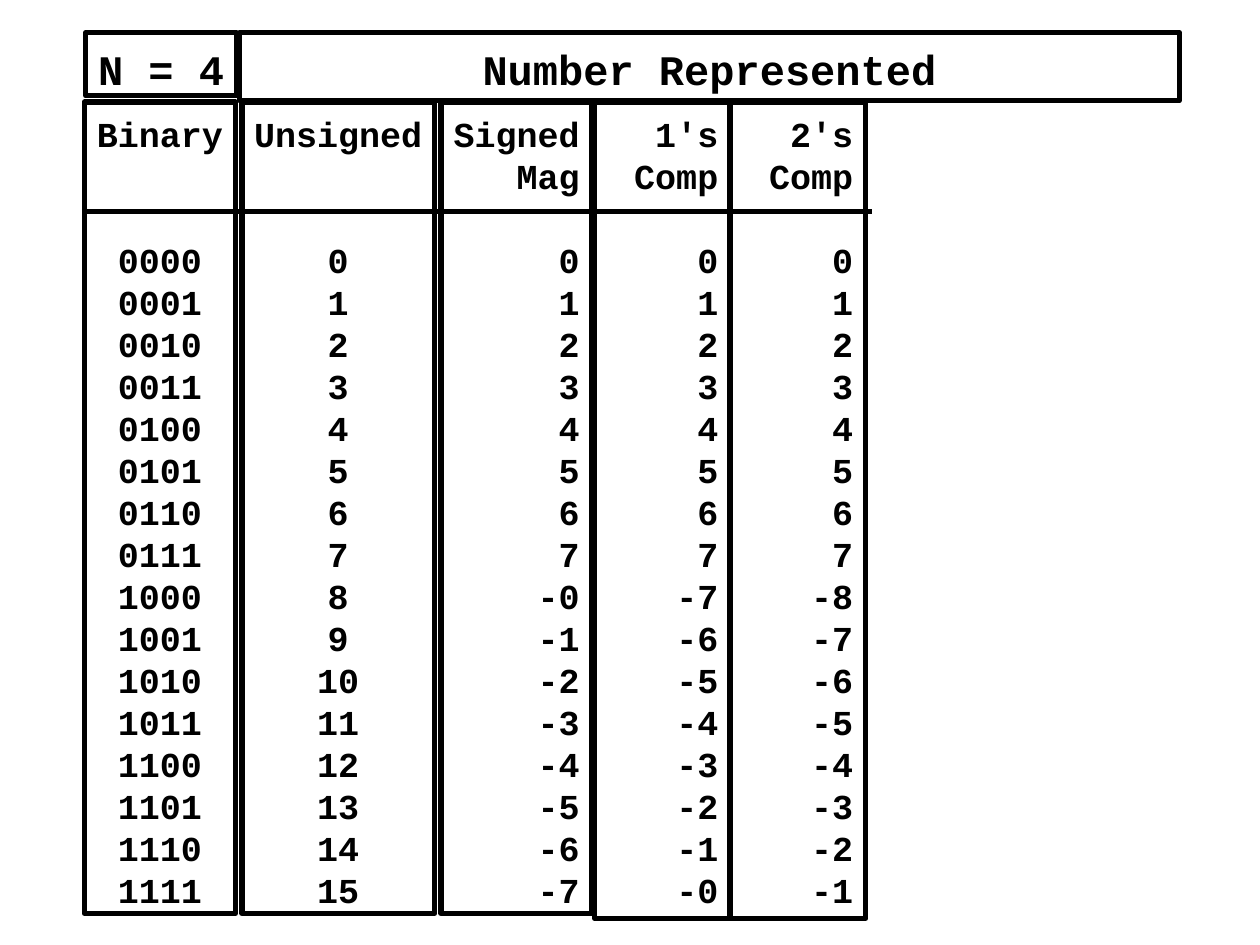
import pptx
import pptx.util
import pptx.dml.color
import pptx.enum.shapes
import pptx.enum.text
import pptx.oxml

Pt = pptx.util.Pt
ALIGN = pptx.enum.text.PP_ALIGN
LEFT, MID, RIGHT = ALIGN.LEFT, ALIGN.CENTER, ALIGN.RIGHT
INK = "000000"
FONT = "Courier New"
BITS = 4
TOP = 58.32


def paint(code):
    return pptx.dml.color.RGBColor.from_string(code)


def write(para, text, size=20, align=LEFT, gap=0, color=INK):
    para.alignment = align
    para.line_spacing = Pt(1.2 * size)
    para.space_before = Pt(gap)
    run = para.add_run()
    run.text = text
    run.font.name = FONT
    run.font.size = Pt(size)
    run.font.bold = True
    run.font.color.rgb = paint(color)


def add_box(slide, left, top, width, height):
    """Add an outlined cell and return its text frame."""
    box = slide.shapes.add_shape(
        pptx.enum.shapes.MSO_SHAPE.RECTANGLE,
        Pt(left), Pt(top), Pt(width), Pt(height))
    box.shadow.inherit = False
    box.fill.background()
    box.line.color.rgb = paint(INK)
    box.line.width = Pt(3)
    frame = box.text_frame
    frame.word_wrap = False
    frame.vertical_anchor = pptx.enum.text.MSO_ANCHOR.TOP
    frame.margin_left = frame.margin_right = Pt(7.2)
    frame.margin_top, frame.margin_bottom = Pt(6), Pt(1)
    return frame


def add_head(slide, text, left, width, height, align):
    frame = add_box(slide, left, 18.72, width, height)
    write(frame.paragraphs[0], text, size=24, align=align)


def add_column(slide, heads, cells, left, width, height, align):
    frame = add_box(slide, left, TOP, width, height)
    # Values start on the fourth line, whatever the heading's length
    first = len(heads)
    for i, text in enumerate(heads + cells):
        para = frame.add_paragraph() if i else frame.paragraphs[0]
        write(para, text, align=align, gap=24 * (3 - first) if i == first else 0)


def add_rule(slide, left, right, y):
    rule = slide.shapes.add_connector(
        pptx.enum.shapes.MSO_CONNECTOR.STRAIGHT, Pt(left), Pt(y), Pt(right), Pt(y))
    rule.line.color.rgb = paint(INK)
    rule.line.width = Pt(3)
    props = rule._element.spPr
    props.append(pptx.oxml.parse_xml(
        '<a:effectLst xmlns:a="http://schemas.openxmlformats.org/drawingml/2006/main"/>'))


def main():
    deck = pptx.Presentation()
    deck.slide_width, deck.slide_height = Pt(720), Pt(540)
    slide = deck.slides.add_slide(deck.slide_layouts[6])

    # The codes and their meaning in each number system
    half = 2 ** (BITS - 1)
    codes = range(2 * half)
    plain = [str(n) for n in range(half)]
    binary = [f"{n:0{BITS}b}" for n in codes]
    signed = plain + [f"-{n}" for n in range(half)]
    ones = plain + [f"-{n}" for n in reversed(range(half))]
    twos = plain + [f"-{n}" for n in range(half, 0, -1)]

    # Columns
    columns = [
        (["Unsigned"], [str(n) for n in codes], 138.24, 110.16, 463.68, MID),
        (["Binary"], binary, 48.24, 86.4, 463.68, MID),
        (["Signed", "Mag"], signed, 252, 86.4, 463.68, RIGHT),
        (["1's", "Comp"], ones, 339.84, 77.76, 466.56, RIGHT),
        (["2's", "Comp"], twos, 416.88, 77.76, 466.56, RIGHT),
    ]
    for column in columns:
        add_column(slide, *column)

    # Rule under the headings
    add_rule(slide, 46.8, 498.24, 120.96)

    # Top row
    add_head(slide, "N = 4", 48.96, 86.4, 36, LEFT)
    add_head(slide, "Number Represented", 136.8, 537.12, 38.88, MID)

    deck.save("out.pptx")


if __name__ == "__main__":
    main()
